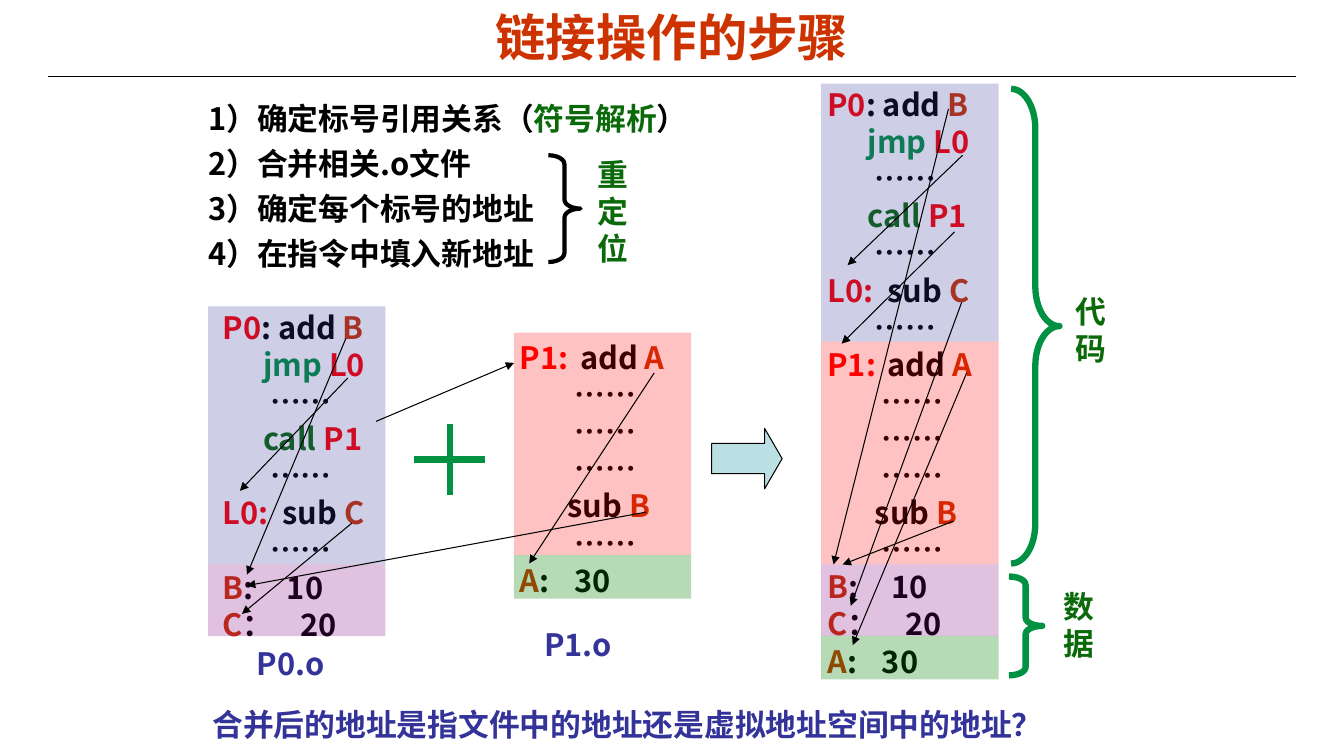
import pptx
import pptx.dml.color
import pptx.enum.shapes
import pptx.enum.text
import pptx.oxml
import pptx.oxml.ns
import pptx.util
from dataclasses import dataclass

Pt = pptx.util.Pt
RGB = pptx.dml.color.RGBColor.from_string
qn = pptx.oxml.ns.qn
SHAPE = pptx.enum.shapes.MSO_SHAPE
ALIGN = pptx.enum.text.PP_ALIGN


@dataclass(frozen=True)
class Theme:
    black: str = "000000"
    title: str = "CC3300"
    data: str = "CC3300"
    label: str = "FF0000"
    jump: str = "009242"
    green: str = "0A6A0A"
    blue: str = "333399"
    arrow: str = "BBE0E3"
    title_size: int = 36
    size: int = 22
    latin: str = "Arial"
    cjk: str = "Noto Sans CJK SC"


T = Theme()


def write(tf, lines, size=T.size, font=T.cjk, align=ALIGN.LEFT, leading=26.5, after=0):
    """Fill a frame with lines of (indent, tab stop, [(text, colour), ...])."""
    tf.word_wrap = True
    tf.auto_size = pptx.enum.text.MSO_AUTO_SIZE.NONE
    for i, (indent, tab, runs) in enumerate(lines):
        p = tf.add_paragraph() if i else tf.paragraphs[0]
        p.alignment = align
        p.space_before, p.space_after = Pt(0), Pt(after)
        if leading:
            p.line_spacing = Pt(leading)
        pPr = p._p.get_or_add_pPr()
        if indent:
            pPr.set("marL", str(Pt(indent)))
            pPr.set("indent", "0")
        if tab:
            stops = pptx.oxml.ns.qn("a:tabLst")
            stop = pPr.makeelement(qn("a:tab"), {"pos": str(Pt(tab)), "algn": "l"})
            tabs = pPr.makeelement(stops, {})
            tabs.append(stop)
            pPr.append(tabs)
        for text, colour in runs:
            r = p.add_run()
            r.text = text
            r.font.size, r.font.bold, r.font.name = Pt(size), True, font
            r.font.color.rgb = RGB(colour)
            rPr = r._r.get_or_add_rPr()
            rPr.append(rPr.makeelement(qn("a:ea"), {"typeface": T.cjk}))


def line(x1, y1, x2, y2, colour=T.black, width=0.75, arrow=False):
    c = s.shapes.add_connector(pptx.enum.shapes.MSO_CONNECTOR.STRAIGHT,
                               Pt(x1), Pt(y1), Pt(x2), Pt(y2))
    c.line.color.rgb, c.line.width = RGB(colour), Pt(width)
    spPr = c._element.spPr
    if arrow:
        ln = c.line._get_or_add_ln()
        ln.append(ln.makeelement(qn("a:tailEnd"), {"type": "triangle"}))
    spPr.append(spPr.makeelement(qn("a:effectLst"), {}))


prs = pptx.Presentation()
prs.slide_width, prs.slide_height = Pt(960), Pt(540)
s = prs.slides.add_slide(prs.slide_layouts[5])

# Title and rule
title = s.shapes.title
title.left, title.top, title.width, title.height = Pt(48), Pt(4.3), Pt(864), Pt(44)
title.text_frame.vertical_anchor = pptx.enum.text.MSO_ANCHOR.MIDDLE
write(title.text_frame, [(0, 0, [("链接操作的步骤", T.title)])],
      size=T.title_size, font=T.latin, align=ALIGN.CENTER, leading=None)
line(34, 54.8, 926, 54.8)

# Linking steps
steps = [
    (0, 0, [("1）确定标号引用关系（", T.black), ("符号解析", T.green), ("）", T.black)]),
    (0, 0, [("2）合并相关.o文件", T.black)]),
    (0, 0, [("3）确定每个标号的地址", T.black)]),
    (0, 0, [("4）在指令中填入新地址", T.black)]),
]
tb = s.shapes.add_textbox(Pt(141.8), Pt(66.5), Pt(379.4), Pt(135.4))
write(tb.text_frame, steps, leading=27.7, after=4.4)

# Sections of the object files: lines, tint, opacity in %, height
dots, far_dots = [(indent, 0, [("……", T.black)]) for indent in (34, 39)]
p0_code = ([
    (0, 0, [("P0", T.label), (": add ", T.black), ("B", T.data)]),
    (29, 0, [("jmp ", T.jump), ("L0", T.label)]),
    dots,
    (29, 0, [("call ", T.green), ("P1", T.label)]),
    dots,
    (0, 43, [("L0:\t", T.label), ("sub ", T.black), ("C", T.data)]),
    dots,
], "333399", 24, 184.3)
p1_code = ([
    (0, 43, [("P1:\t", T.label), ("add ", T.black), ("A", T.data)]),
    far_dots, far_dots, far_dots,
    (34, 0, [("sub ", T.black), ("B", T.data)]),
    far_dots,
], "FF0000", 24, 159)
p0_data = ([
    (0, 46, [("B", T.data), (":\t10", T.black)]),
    (0, 55.5, [("C", T.data), ("：\t20", T.black)]),
], "800080", 24, 51.2)
p1_data = ([(0, 39, [("A", T.data), (":\t30", T.black)])], "008000", 29, 31)

# Each file: text left and top, tint left and top, sections
for text_x, text_y, x, y, sections in [
    (583.9, 57.6, 586.6, 59.8, [p0_code, p1_code, p0_data, p1_data]),
    (364.3, 238.3, 367, 237.6, [p1_code, p1_data]),
    (151.9, 216.7, 148.7, 218.9, [p0_code, p0_data]),
]:
    lines = [entry for section in sections for entry in section[0]]
    tb = s.shapes.add_textbox(Pt(text_x), Pt(text_y), Pt(147.6), Pt(26.5 * len(lines) + 7.2))
    write(tb.text_frame, lines)
    for _, tint, opacity, height in sections:
        sp = s.shapes.add_shape(SHAPE.RECTANGLE, Pt(x), Pt(y), Pt(126.7), Pt(height))
        sp.shadow.inherit = False
        sp.fill.solid()
        sp.fill.fore_color.rgb = RGB(tint)
        clr = sp._element.spPr.find(qn("a:solidFill"))[0]
        clr.append(clr.makeelement(qn("a:alpha"), {"val": str(opacity * 1000)}))
        sp.line.fill.background()
        y += height

# Plus sign and merge arrow
line(296, 328.3, 346.4, 328.3, T.jump, 4.5)
line(321.2, 303.1, 321.2, 353.5, T.jump, 4.5)
merge = s.shapes.add_shape(SHAPE.RIGHT_ARROW, Pt(508.3), Pt(306), Pt(50.4), Pt(43.2))
merge.shadow.inherit = False
merge.adjustments[0], merge.adjustments[1] = 0.5, 0.29
merge.fill.solid()
merge.fill.fore_color.rgb = RGB(T.arrow)
merge.line.color.rgb, merge.line.width = RGB(T.black), Pt(0.75)

# Braces
for x, y, w, h, bend, colour, width in [
    (722.2, 63.4, 34.6, 339.1, 0.823, T.jump, 4.5),
    (720.7, 411.8, 23.8, 70.6, 0.246, T.jump, 4.5),
    (391.7, 110.9, 23, 76.3, 0.278, T.black, 3),
]:
    brace = s.shapes.add_shape(SHAPE.RIGHT_BRACE, Pt(x), Pt(y), Pt(w), Pt(h))
    brace.shadow.inherit = False
    brace.adjustments[0], brace.adjustments[1] = bend, 0.5
    brace.fill.background()
    brace.line.color.rgb, brace.line.width = RGB(colour), Pt(width)

# Captions
for text, x, y, w, h, colour, font in [
    ("代码", 761, 205.2, 50.4, 60.5, T.green, T.latin),
    ("数据", 752.4, 416.2, 50.4, 60.5, T.green, T.latin),
    ("重定位", 419.8, 107.3, 42.5, 87.1, T.green, T.latin),
    ("P1.o", 381.6, 443.5, 73.4, 33.8, T.blue, T.cjk),
    ("P0.o", 176.4, 457.2, 73.4, 33.8, T.blue, T.cjk),
    ("合并后的地址是指文件中的地址还是虚拟地址空间中的地址？",
     144.7, 500.4, 620, 33.8, T.blue, T.cjk),
]:
    tb = s.shapes.add_textbox(Pt(x), Pt(y), Pt(w), Pt(h))
    write(tb.text_frame, [(0, 0, [(text, colour)])], font=font)

# References from instructions to the labels they name
for ends in [
    (677.5, 77.8, 595.4, 403.2),
    (681.1, 372.2, 601.9, 403.2),
    (690.5, 266.4, 609.1, 460.8),
    (686.9, 216, 607.7, 432.7),
    (687.6, 110.9, 605.5, 189.4),
    (681.8, 165.6, 601.2, 245.5),
    (268.6, 301, 367.2, 259.2),
    (248.4, 270, 171.4, 350.6),
    (247, 241.9, 176.4, 410.4),
    (251.3, 373.7, 172.8, 438.5),
    (467.3, 266.4, 378, 402.5),
    (461.5, 365.8, 176.4, 418.3),
]:
    line(*ends, arrow=True)

prs.save("out.pptx")
